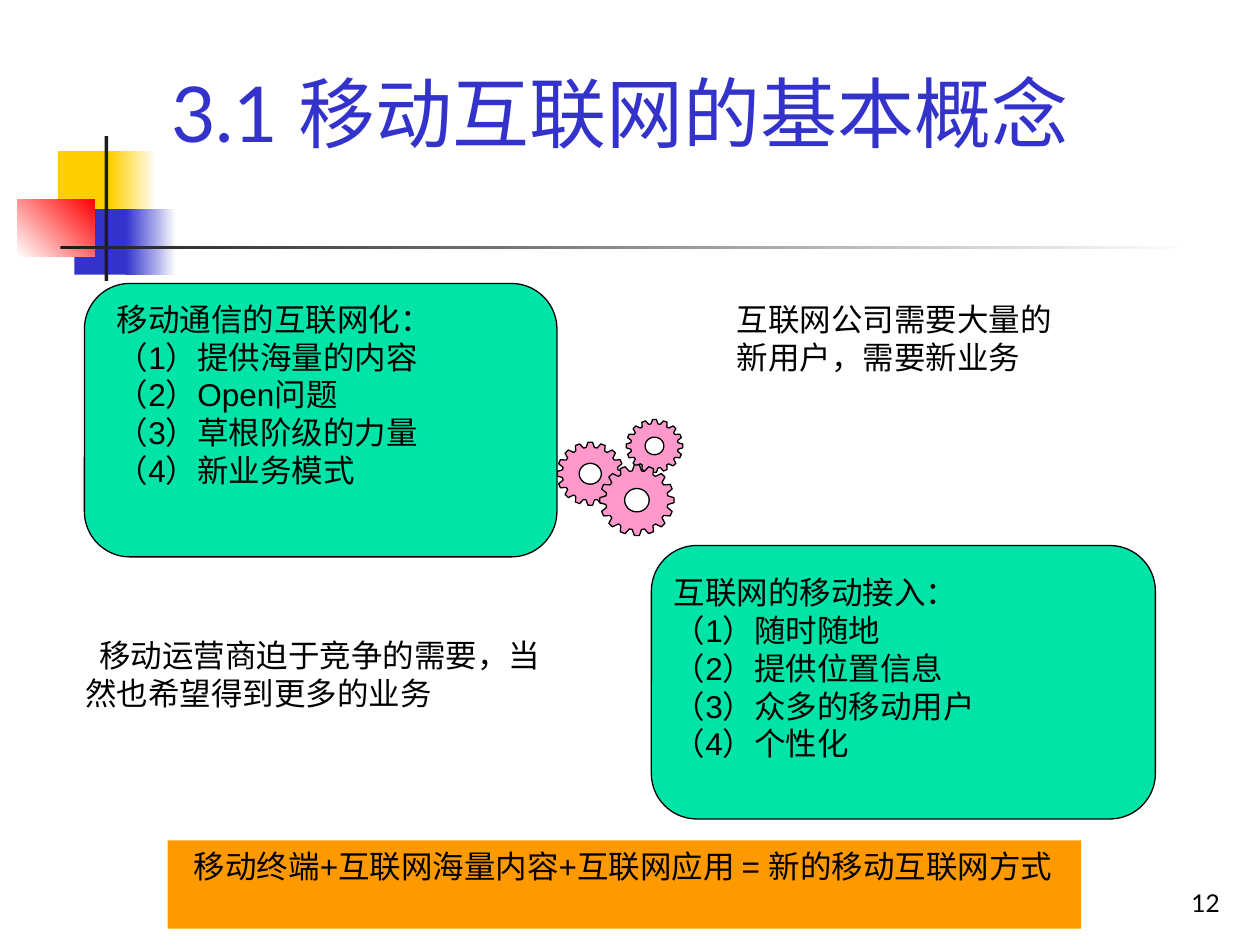
import math
import pptx
import pptx.util
import pptx.dml.color
import pptx.enum.shapes
import pptx.enum.text

Inches = pptx.util.Inches
Kind = pptx.enum.shapes.MSO_SHAPE
Anchor = pptx.enum.text.MSO_ANCHOR
Align = pptx.enum.text.PP_ALIGN


def color(value):
    return pptx.dml.color.RGBColor.from_string(value)


def add_text(place, lines, size=18, font="Arial", ink="000000", align=Align.LEFT, indent=0, frame_format=None):
    box = page.shapes.add_textbox(*map(Inches, place))
    frame = box.text_frame
    settings = {"word_wrap": True, "vertical_anchor": Anchor.TOP, **(frame_format or {})}
    for name, value in settings.items():
        setattr(frame, name, value)
    for index, line in enumerate(lines):
        para = frame.add_paragraph() if index else frame.paragraphs[0]
        para.alignment = align
        if indent:
            para._p.get_or_add_pPr().set("indent", str(Inches(indent)))
        span = para.add_run()
        span.text = line
        for name, value in {"size": pptx.util.Pt(size), "name": font}.items():
            setattr(span.font, name, value)
        span.font.color.rgb = color(ink)
    return box


deck = pptx.Presentation()
deck.slide_width, deck.slide_height = Inches(10), Inches(7.5)
page = deck.slides.add_slide(deck.slide_layouts[6])

ornaments = [
    ((0.46, 1.2, 0.48, 0.52), ["FFCF01"], 0),
    ((0.88, 1.2, 0.36, 0.52), ["FFCF01", "FFFFFF"], 0),
    ((0.59, 1.66, 0.46, 0.52), ["3333CC"], 0),
    ((1, 1.66, 0.4, 0.52), ["3333CC", "FFFFFF"], 0),
    ((0.14, 1.58, 0.61, 0.46), ["FFFFFF", "FF0000"], 45),
    ((0.83, 1.08, 0.03, 1.15), ["1C1C1C"], 0),
    ((0.48, 1.95, 9, 0.03), ["1C1C1C", "FFFFFF"], 0),
]
for place, colors, angle in ornaments:
    ornament = page.shapes.add_shape(Kind.RECTANGLE, *map(Inches, place))
    ornament.shadow.inherit = False
    ornament.line.fill.background()
    if len(colors) == 1:
        ornament.fill.solid()
        ornament.fill.fore_color.rgb = color(colors[0])
    else:
        ornament.fill.gradient()
        ornament.fill.gradient_angle = angle
        for stop, value in zip(ornament.fill.gradient_stops, colors):
            stop.color.rgb = color(value)

add_text((1.26, 0.23, 8.52, 1.07), ["3.1 移动互联网的基本概念"], 44, "Lato", "3333CC",
         frame_format={"vertical_anchor": Anchor.BOTTOM})

summary = add_text((1.33, 6.67, 7.25, 0.7), ["移动终端+互联网海量内容+互联网应用 = 新的移动互联网方式"],
                   indent=0.11, frame_format={"margin_right": Inches(0.2)})
summary.fill.solid()
summary.fill.fore_color.rgb = color("FF9900")

teeth = 16
tooth_profile = [(-8.5, 0.84), (-4, 1), (4, 1), (8.5, 0.84)]
rim = [(tooth * 360 / teeth + offset, ratio) for tooth in range(teeth) for offset, ratio in tooth_profile]
hole = [(-angle, 0.33) for angle in range(0, 360, 8)]
cards = [(0.67, 2.25, 3.75, 2.17), (5.17, 4.33, 4, 2.17)]
gears = [(4.97, 3.33, 0.45, 0.42), (4.42, 3.51, 0.53, 0.5), (4.76, 3.69, 0.59, 0.56)]

outlined = []
for left, top, width, height in gears:
    contours = []
    for contour in (rim, hole):
        contours.append([
            (Inches(left + width / 2 * (1 + ratio * math.sin(math.radians(angle)))),
             Inches(top + height / 2 * (1 - ratio * math.cos(math.radians(angle)))))
            for angle, ratio in contour
        ])
    outer, inner = contours
    builder = page.shapes.build_freeform(*outer[0])
    builder.add_line_segments(outer[1:])
    builder.move_to(*inner[0])
    builder.add_line_segments(inner[1:])
    outlined.append((builder.convert_to_shape(), "FF99CC"))

for place in cards:
    card = page.shapes.add_shape(Kind.FLOWCHART_ALTERNATE_PROCESS, *map(Inches, place))
    outlined.append((card, "00E4A8"))

for shape, fill in outlined:
    shape.shadow.inherit = False
    shape.fill.solid()
    shape.fill.fore_color.rgb = color(fill)
    shape.line.color.rgb = color("000000")
    shape.line.width = pptx.util.Pt(0.75)

add_text((0.83, 2.33, 3.42, 1.6),
         ["移动通信的互联网化：", "（1）提供海量的内容", "（2）Open问题", "（3）草根阶级的力量", "（4）新业务模式"])
add_text((5.25, 4.5, 3.92, 1.6),
         ["互联网的移动接入：", "（1）随时随地", "（2）提供位置信息", "（3）众多的移动用户", "（4）个性化"])
add_text((0.58, 5, 3.86, 0.7), ["移动运营商迫于竞争的需要，当然也希望得到更多的业务"], indent=0.11)
add_text((5.75, 2.33, 2.92, 0.7), ["互联网公司需要大量的新用户，需要新业务"])
add_text((7.7, 6.83, 2.08, 0.5), ["12"], 14, "Lato", align=Align.RIGHT,
         frame_format={"vertical_anchor": Anchor.BOTTOM})

deck.save("out.pptx")
